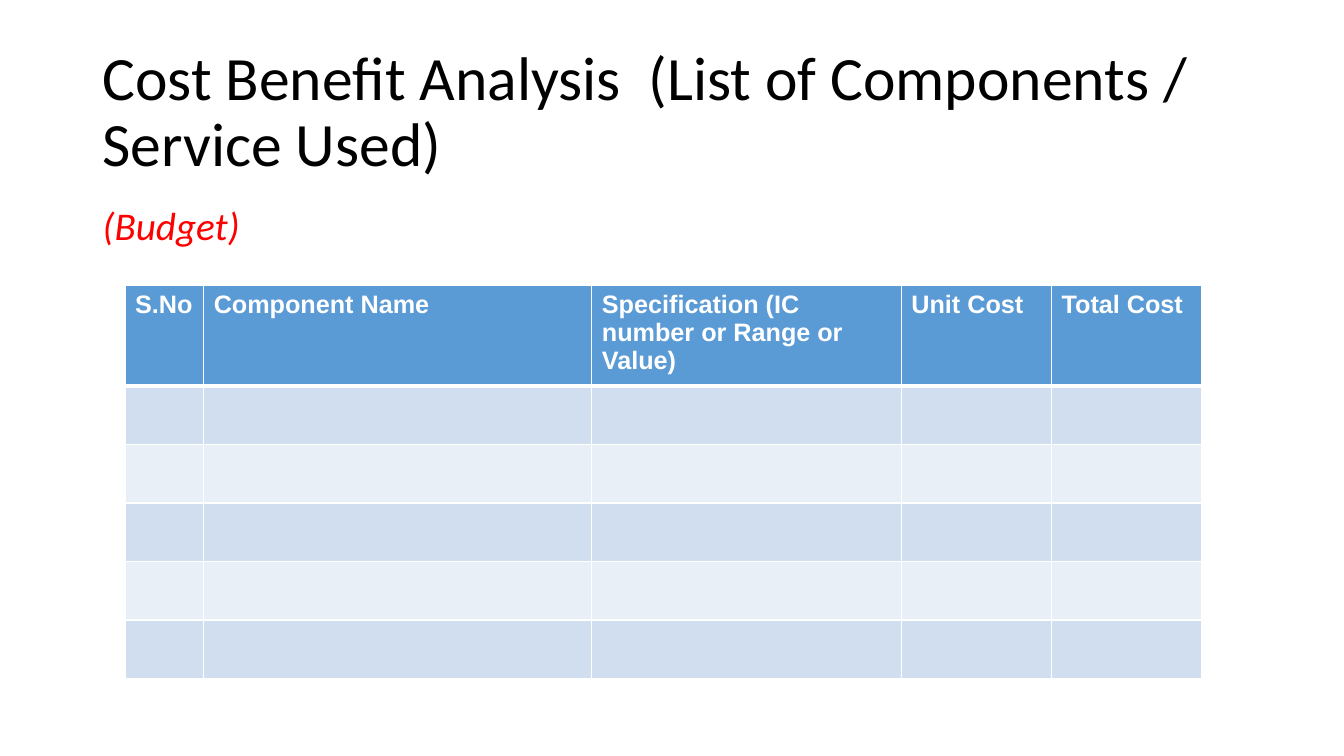
import pptx
import pptx.dml.color
import pptx.enum.text
import pptx.oxml
import pptx.oxml.ns
import pptx.util

PX = 9144
COLORS = {
    "title": "000000",
    "budget": "FF0000",
    "header": "5B9BD5",
    "band_dark": "D0DEEF",
    "band_light": "E9EFF7",
    "white": "FFFFFF",
}
HEADINGS = [
    "S.No",
    "Component Name",
    "Specification (IC number or Range or Value)",
    "Unit Cost",
    "Total Cost",
]
COLUMN_WIDTHS = [78, 385, 307, 149, 149]
HEADER_HEIGHT = 93
ROW_HEIGHT = 58
BODY_ROWS = 5


def px(length):
    return pptx.util.Emu(length * PX)


def color(name):
    return pptx.dml.color.RGBColor.from_string(COLORS[name])


def set_font(paragraph, face, size, color_name, bold=False, italic=False):
    font = paragraph.font
    font.name = face
    font.size = pptx.util.Pt(size)
    font.bold = bold
    font.italic = italic
    font.color.rgb = color(color_name)


def add_text(slide, left, top, width, height, text, size, color_name, anchor, italic=False):
    box = slide.shapes.add_textbox(px(left), px(top), px(width), px(height))
    frame = box.text_frame
    frame.word_wrap = True
    frame.vertical_anchor = anchor
    paragraph = frame.paragraphs[0]
    paragraph.text = text
    paragraph.line_spacing = 0.9
    set_font(paragraph, "Calibri", size, color_name, italic=italic)


def set_borders(cell, top, bottom):
    properties = cell._tc.get_or_add_tcPr()
    widths = {"lnL": 1, "lnR": 1, "lnT": top, "lnB": bottom}
    for position, (side, width) in enumerate(widths.items()):
        border = pptx.oxml.parse_xml(
            f'<a:{side} {pptx.oxml.ns.nsdecls("a")} w="{pptx.util.Pt(width)}">'
            f'<a:solidFill><a:srgbClr val="{COLORS["white"]}"/></a:solidFill>'
            f'</a:{side}>'
        )
        properties.insert(position, border)


def style_cell(cell, fill_name, top, bottom):
    cell.fill.solid()
    cell.fill.fore_color.rgb = color(fill_name)
    set_borders(cell, top, bottom)


def add_cost_table(slide, left, top):
    frame = slide.shapes.add_table(
        BODY_ROWS + 1, len(HEADINGS), px(left), px(top),
        px(sum(COLUMN_WIDTHS)), px(HEADER_HEIGHT + BODY_ROWS * ROW_HEIGHT),
    )
    table = frame.table
    for column, width in zip(table.columns, COLUMN_WIDTHS):
        column.width = px(width)
    for index, row in enumerate(table.rows):
        row.height = px(ROW_HEIGHT if index else HEADER_HEIGHT)
        band = "band_dark" if index % 2 else "band_light"
        for cell in row.cells:
            style_cell(
                cell,
                band if index else "header",
                top=3 if index == 1 else 1,
                bottom=1 if index else 3,
            )
    for cell, heading in zip(table.rows[0].cells, HEADINGS):
        cell.text = heading
        set_font(cell.text_frame.paragraphs[0], "Arial", 18, "white", bold=True)


def main():
    presentation = pptx.Presentation()
    presentation.slide_width = px(1333)
    presentation.slide_height = px(750)
    slide = presentation.slides.add_slide(presentation.slide_layouts[6])
    anchors = pptx.enum.text.MSO_ANCHOR
    add_text(
        slide, 92, 40, 1150, 145,
        "Cost Benefit Analysis  (List of Components / Service Used)",
        44, "title", anchors.MIDDLE,
    )
    add_text(
        slide, 92, 200, 1150, 476, "(Budget)",
        28, "budget", anchors.TOP, italic=True,
    )
    add_cost_table(slide, 124, 283)
    presentation.save("out.pptx")


if __name__ == "__main__":
    main()
